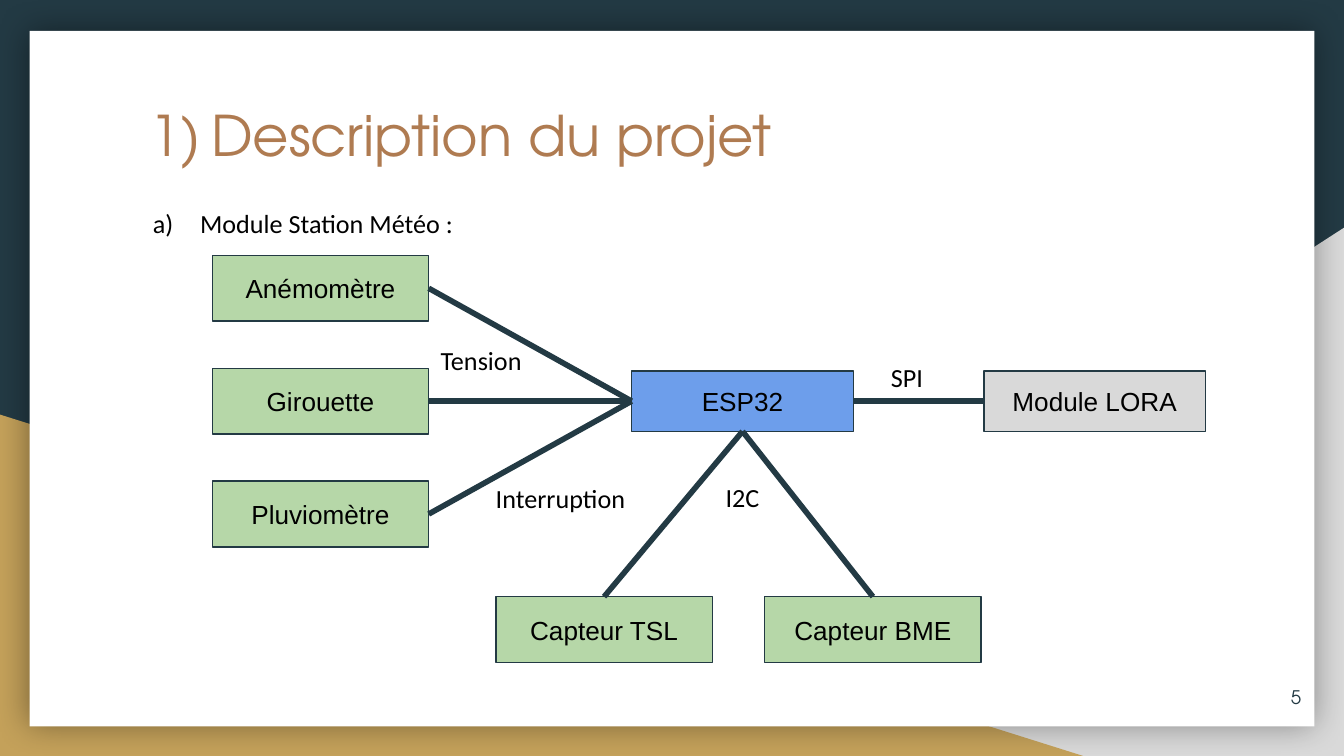
from lxml.etree import SubElement
from pptx import Presentation
from pptx.dml.color import RGBColor
from pptx.enum.shapes import MSO_CONNECTOR as Connector, MSO_SHAPE as Shape
from pptx.enum.text import MSO_ANCHOR as Anchor, MSO_AUTO_SIZE as AutoSize, PP_ALIGN as Align
from pptx.oxml.ns import qn
from pptx.util import Inches, Pt

NAVY = RGBColor(0x23, 0x3A, 0x44)
GOLD = RGBColor(0xC4, 0xA1, 0x5A)
GRAY = RGBColor(0xD9, 0xD9, 0xD9)
WHITE = RGBColor(0xFF, 0xFF, 0xFF)
BLACK = RGBColor(0, 0, 0)
BROWN = RGBColor(0xAF, 0x7B, 0x51)
GREEN = RGBColor(0xB6, 0xD7, 0xA8)
BLUE = RGBColor(0x6D, 0x9E, 0xEB)

HEADING_FONT = "TeX Gyre Adventor"
TITLE = {"size": 30, "name": HEADING_FONT, "color": BROWN}
NUMBER = {"size": 10, "name": HEADING_FONT, "color": NAVY}
LABEL = {"size": 14, "name": "Calibri", "color": BLACK}
NODE = {"size": 14, "name": "Arial", "color": BLACK}
TOP, BOTTOM, LEFT, RIGHT = 0, 2, 1, 3  # connection sites


def inches(box):
    return [Inches(value) for value in box]


def write(shape, text, style, align=Align.LEFT, anchor=Anchor.TOP):
    frame = shape.text_frame
    settings = {"word_wrap": True, "auto_size": AutoSize.NONE, "vertical_anchor": anchor}
    for side in ("left", "top", "right", "bottom"):
        settings[f"margin_{side}"] = Inches(0.1)
    for name, value in settings.items():
        setattr(frame, name, value)
    para = frame.paragraphs[0]
    para.alignment = align
    span = para.add_run()
    span.text = text
    span.font.size = Pt(style["size"])
    span.font.name = style["name"]
    span.font.color.rgb = style["color"]
    return para


def add_text(page, box, text, style, **layout):
    return write(page.shapes.add_textbox(*inches(box)), text, style, **layout)


def number_para(para, scheme, hanging, color):
    """Give the paragraph an automatic number with a hanging indent."""
    props = para._p.get_or_add_pPr()
    props.set("marL", str(Inches(0.5)))
    props.set("indent", str(-Inches(hanging)))
    SubElement(SubElement(props, qn("a:buClr")), qn("a:srgbClr"), val=str(color))
    SubElement(props, qn("a:buAutoNum"), type=scheme)


def add_filled(page, kind, box, fill, line=None):
    shape = page.shapes.add_shape(kind, *inches(box))
    shape.shadow.inherit = False
    shape.fill.solid()
    shape.fill.fore_color.rgb = fill
    if line is None:
        shape.line.fill.background()
    else:
        shape.line.color.rgb = line
        shape.line.width = Pt(0.75)
    return shape


def add_backdrop(page, width, height):
    """Dark background, two corner triangles and the white panel with its glow."""
    page.background.fill.solid()
    page.background.fill.fore_color.rgb = NAVY
    right = add_filled(page, Shape.RIGHT_TRIANGLE, (width - 6.08, height - 3.93, 6.08, 3.93), GRAY)
    right._element.spPr.get_or_add_xfrm().set("flipH", "1")
    add_filled(page, Shape.RIGHT_TRIANGLE, (0, height - 2.54, 8.06, 2.54), GOLD)
    panel = add_filled(page, Shape.RECTANGLE, (0.22, 0.23, width - 0.44, height - 0.45), WHITE)
    effects = panel._element.spPr.find(qn("a:effectLst"))
    shadow = SubElement(effects, qn("a:outerShdw"), blurRad=str(Pt(18)), dist="0", dir="0",
                        algn="ctr", rotWithShape="0")
    color = SubElement(shadow, qn("a:srgbClr"), val="000000")
    SubElement(color, qn("a:alpha"), val="40000")


def add_heading(page, box):
    left, top, width, height = box
    title = page.shapes.title
    title.left, title.top, title.width, title.height = inches(box)
    number_para(write(title, "Description du projet", TITLE), "arabicParenR", 0.46, BROWN)
    subtitle = add_text(page, (left - 0.08, top + height, 4.27, 0.44),
                        "Module Station Météo :", LABEL)
    number_para(subtitle, "alphaLcParenR", 0.35, BLACK)


def add_link(page, start, start_site, end, end_site):
    link = page.shapes.add_connector(Connector.STRAIGHT, 0, 0, 0, 0)
    link.begin_connect(start, start_site)
    link.end_connect(end, end_site)
    link.line.color.rgb = NAVY
    link.line.width = Pt(3)
    SubElement(link._element.spPr, qn("a:effectLst"))


def add_diagram(page, left, top):
    """Sensors and radio module wired to the central microcontroller."""
    def add_node(text, x, y, fill, size=(1.61, 0.49)):
        node = add_filled(page, Shape.RECTANGLE, (left + x, top + y, *size), fill, NAVY)
        write(node, text, NODE, align=Align.CENTER, anchor=Anchor.MIDDLE)
        return node

    module_size = (1.65, 0.45)
    hub = add_node("ESP32", 3.12, 0.86, BLUE, module_size)
    radio = add_node("Module LORA", 5.74, 0.86, GRAY, module_size)
    add_link(page, radio, LEFT, hub, RIGHT)
    for row, text in enumerate(("Anémomètre", "Girouette", "Pluviomètre")):
        add_link(page, add_node(text, 0, 0.84 * row, GREEN), RIGHT, hub, LEFT)
    for column, text in enumerate(("Capteur TSL", "Capteur BME")):
        add_link(page, add_node(text, 2.11 + 2 * column, 2.54, GREEN), TOP, hub, BOTTOM)

    for text, x, y, width in (
        ("Tension", 1.6, 0.56, 0.86),
        ("Interruption", 2.01, 1.59, 1.21),
        ("I2C", 3.72, 1.58, 0.61),
        ("SPI", 4.95, 0.69, 0.61),
    ):
        add_text(page, (left + x, top + y, width, 0.44), text, LABEL)


def main():
    deck = Presentation()
    width = 10
    height = width * 9 / 16
    deck.slide_width, deck.slide_height = inches((width, height))
    page = deck.slides.add_slide(deck.slide_layouts[5])
    add_backdrop(page, width, height)
    add_heading(page, (0.97, 0.65, 8.21, 0.79))
    add_diagram(page, 1.58, 1.9)
    add_text(page, (9.18, 4.97, 0.6, 0.43), "5", NUMBER, align=Align.RIGHT, anchor=Anchor.MIDDLE)
    # The title placeholder comes first in the page, so lift it above the panel.
    page.shapes._spTree.append(page.shapes.title._element)
    deck.save("out.pptx")


if __name__ == "__main__":
    main()
